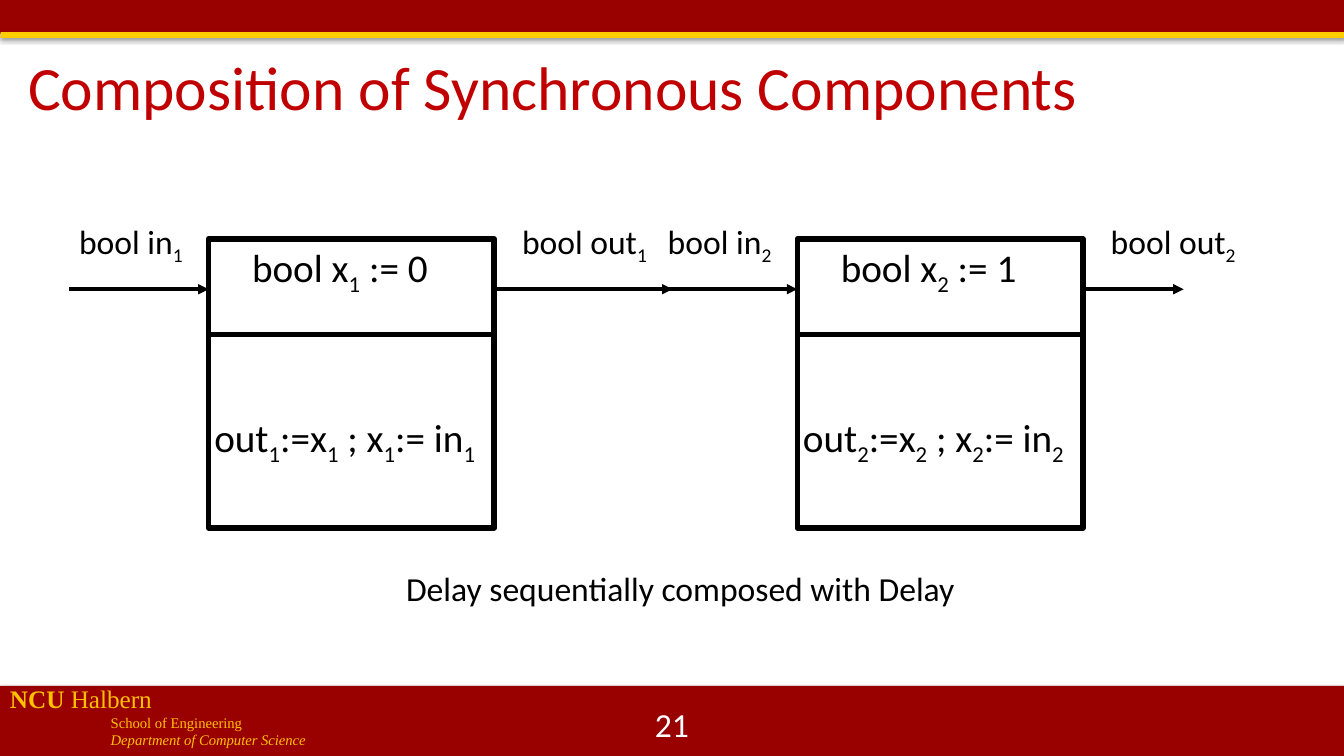
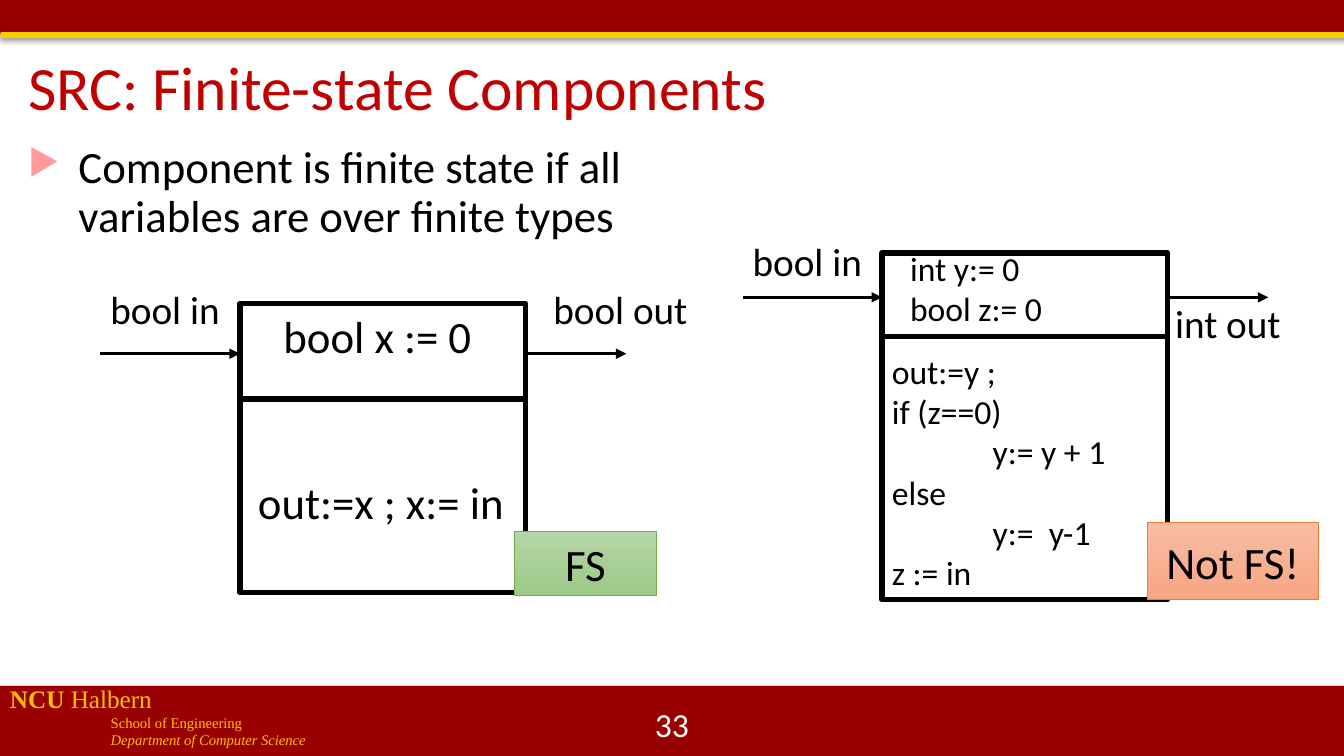
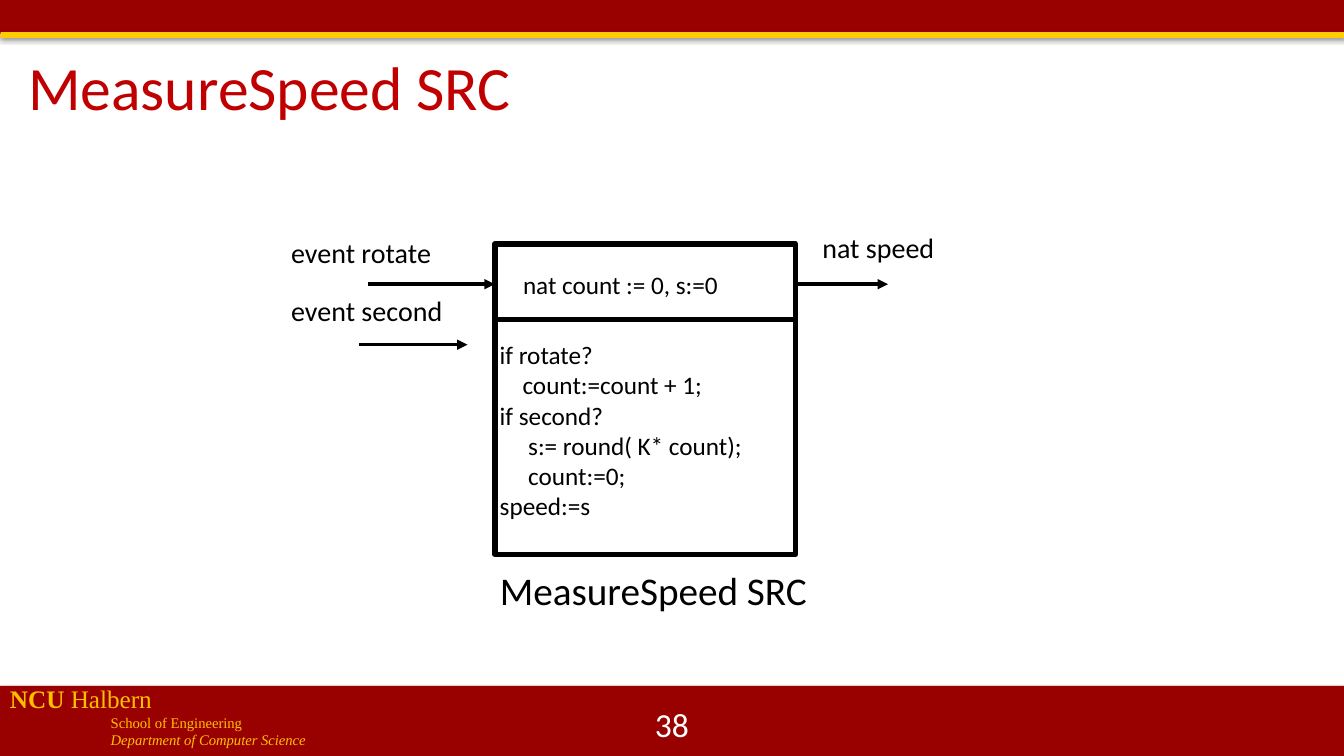
"""Build three slides on synchronous reactive components."""
from dataclasses import dataclass, field
from typing import NamedTuple

from lxml.etree import SubElement as Sub
from pptx import Presentation
from pptx.dml.color import RGBColor as Rgb
from pptx.enum.shapes import MSO_CONNECTOR as Conn, MSO_SHAPE as Kind
from pptx.enum.text import MSO_ANCHOR as Anchor, PP_ALIGN as Align
from pptx.oxml.ns import qn
from pptx.util import Pt

INK = {
    "band": "990000", "gold": "FFCC00", "logo": "FFC000", "title": "C00000",
    "text": "000000", "page": "FFFFFF", "mark": "FF9B9B",
}
WIDE, HIGH = 960, 540


class Bit(NamedTuple):
    text: str
    fmt: dict = {}
    drop: bool = False


class Row(NamedTuple):
    bits: list
    pad: float = 0


class Box(NamedTuple):
    x: float
    y: float
    w: float
    h: float


@dataclass
class Note:
    box: Box
    rows: list
    size: float
    ink: str = "text"
    font: str = "Calibri"
    anchor: Anchor = Anchor.TOP
    para: dict = field(default_factory=dict)


@dataclass
class Part:
    box: Box
    wire: float
    cut: float
    lead: float
    tail: float
    notes: list


@dataclass
class Tag:
    box: Box
    text: str
    top: str
    low: str
    edge: str


def row(text: str, pad: float = 0) -> Row:
    head, *rest = text.split("_")
    bits = [Bit(head)]
    for piece in rest:
        bits.append(Bit(piece[0], drop=True))
        if piece[1:]:
            bits.append(Bit(piece[1:]))
    return Row(bits, pad)


def apply(target, fmt: dict) -> None:
    for key, value in fmt.items():
        setattr(target, key, value)


def write(frame, note: Note) -> None:
    frame.word_wrap = True
    frame.vertical_anchor = note.anchor
    for i, line in enumerate(note.rows):
        para = frame.paragraphs[0] if i == 0 else frame.add_paragraph()
        apply(para, note.para)
        if line.pad:
            para._p.get_or_add_pPr().set("marL", str(Pt(line.pad)))
        for bit in line.bits:
            run = para.add_run()
            run.text = bit.text
            base = {"size": Pt(note.size), "name": note.font}
            apply(run.font, base | bit.fmt)
            run.font.color.rgb = Rgb.from_string(INK[note.ink])
            if bit.drop:
                run._r.get_or_add_rPr().set("baseline", "-25000")


def label(slide, note: Note, dx: float = 0, dy: float = 0):
    x, y, w, h = note.box
    shape = slide.shapes.add_textbox(Pt(x + dx), Pt(y + dy), Pt(w), Pt(h))
    write(shape.text_frame, note)
    return shape


def rect(slide, box: Box):
    shape = slide.shapes.add_shape(Kind.RECTANGLE, *map(Pt, box))
    shape.shadow.inherit = False
    return shape


def band(slide, box: Box, ink: str, alpha: int, dist: float) -> None:
    shape = rect(slide, box)
    shape.fill.solid()
    shape.fill.fore_color.rgb = Rgb.from_string(INK[ink])
    shape.line.fill.background()
    glow = Sub(shape._element.spPr.find(qn("a:effectLst")), qn("a:outerShdw"),
               blurRad=str(Pt(3.1)), dist=str(Pt(dist)), dir="5400000", rotWithShape="0")
    tone = Sub(glow, qn("a:srgbClr"), val=INK["text"])
    Sub(tone, qn("a:alpha"), val=str(alpha * 1000))


def rule(slide, x: float, y: float, end: float, width: float, arrow: bool = True) -> None:
    line = slide.shapes.add_connector(Conn.STRAIGHT, Pt(x), Pt(y), Pt(end), Pt(y))
    line.line.width = Pt(width)
    line.line.color.rgb = Rgb.from_string(INK["text"])
    if arrow:
        Sub(line.line._get_or_add_ln(), qn("a:tailEnd"), type="triangle")
    Sub(line._element.spPr, qn("a:effectLst"))


def draw(slide, part: Part) -> None:
    x, y, w, h = part.box
    frame = rect(slide, part.box)
    frame.fill.background()
    frame.line.width = Pt(4)
    frame.line.color.rgb = Rgb.from_string(INK["text"])
    rule(slide, x + w, y + part.wire, x + w + part.tail, 2.5)
    rule(slide, x - part.lead, y + part.wire, x, 2.5)
    rule(slide, x, y + part.cut, x + w, 4, False)
    for note in part.notes:
        label(slide, note, x, y)


def delay(x: float, y: float, tail: float, names: list, small: float, big: float,
          code: Box) -> Part:
    boxes = [Box(-99.6, -16.6, 94, 36), Box(216.8, -16.6, 112, 36), Box(24, 0, 150, 44), code]
    sizes = [small, small, big, big]
    notes = [Note(b, [row(t)], s) for b, t, s in zip(boxes, names, sizes)]
    return Part(Box(x, y, 204, 206.6), 36, 68.4, 99.6, tail, notes)


def badge(slide, tag: Tag) -> None:
    shape = rect(slide, tag.box)
    shape.fill.gradient()
    shape.fill.gradient_angle = 270
    for stop, tone in zip(shape.fill.gradient_stops, (tag.top, tag.low)):
        stop.color.rgb = Rgb.from_string(tone)
    shape.line.width = Pt(0.5)
    shape.line.color.rgb = Rgb.from_string(tag.edge)
    write(shape.text_frame, Note(tag.box, [row(tag.text)], 32, anchor=Anchor.MIDDLE,
                                 para={"alignment": Align.CENTER}))


def bullet(slide, note: Note) -> None:
    para = label(slide, note).text_frame.paragraphs[0]
    props = para._p.get_or_add_pPr()
    props.set("marL", str(Pt(36)))
    props.set("indent", str(Pt(-36)))
    Sub(Sub(props, qn("a:buClr")), qn("a:srgbClr"), val=INK["mark"])
    Sub(props, qn("a:buSzPct"), val="80000")
    Sub(props, qn("a:buChar"), char="▶")


def start(deck, title: str, page: int):
    slide = deck.slides.add_slide(deck.slide_layouts[6])
    band(slide, Box(0, 0, WIDE, 24), "band", 35, 1.8)
    band(slide, Box(0.5, 23, WIDE, 4.2), "gold", 38, 1.6)
    band(slide, Box(0, 490, WIDE, HIGH - 490), "band", 35, 1.8)
    small = {"size": Pt(10.5)}
    school = [
        Row([Bit("NCU ", {"bold": True}), Bit("Halbern")]),
        Row([Bit("School of Engineering", small)], 72),
        Row([Bit("Department of Computer Science", small | {"italic": True})], 72),
    ]
    label(slide, Note(Box(0, 484.6, 450, 55.4), school, 18, "logo", "Times New Roman"))
    label(slide, Note(Box(13, 33.8, 860, 61.2), [row(title)], 44, "title",
                      anchor=Anchor.MIDDLE, para={"line_spacing": 0.9}))
    label(slide, Note(Box(372, 502.6, 216, 28.8), [row(str(page))], 24, "page",
                      anchor=Anchor.MIDDLE, para={"alignment": Align.CENTER}))
    return slide


def compose(deck) -> None:
    slide = start(deck, "Composition of Synchronous Components", 21)
    for i, (x, tail) in enumerate([(149, 127.4), (569.5, 72)]):
        n = i + 1
        names = [f"bool in_{n}", f"bool out_{n}", f"bool x_{n} := {i}",
                 f"out_{n}:=x_{n} ; x_{n}:= in_{n}"]
        draw(slide, delay(x, 170.6, tail, names, 24, 28, Box(-3, 121, 208, 41)))
    label(slide, Note(Box(262.8, 401.8, 446.4, 36), [row("Delay sequentially composed with Delay")],
                      24, para={"alignment": Align.CENTER}))


def finite(deck) -> None:
    slide = start(deck, "SRC: Finite-state Components", 33)
    names = ["bool in", "bool out", "bool x := 0", "out:=x ; x:= in"]
    draw(slide, delay(171.4, 216.7, 72, names, 28, 32, Box(5.8, 118.8, 194, 46)))
    code = [row("out:=y ;"), row("if (z==0)"), row("y:= y + 1", 72), row("else"),
            row("y:=  y-1", 72), row("z := in")]
    draw(slide, Part(Box(630, 180.7, 204, 247.7), 31.7, 59.8, 99.4, 72, [
        Note(Box(-99.4, -15.1, 94, 37), [row("bool in")], 28),
        Note(Box(202.3, 29.5, 92, 37), [row("int out")], 28),
        Note(Box(13, -7.2, 169, 73), [row("int y:= 0"), row("bool z:= 0")], 24),
        Note(Box(0, 66.2, 168.5, 181), code, 24),
    ]))
    bullet(slide, Note(
        Box(13, 100, 460.8, 94.3),
        [row("Component is finite state if all variables are over finite types")], 32,
        para={"line_spacing": 0.9, "space_before": Pt(10)}))
    badge(slide, Tag(Box(367.2, 379.2, 101.8, 46.4), "FS", "B5D5A7", "9CC987", "70AD47"))
    badge(slide, Tag(Box(819.4, 373.4, 122.4, 55), "Not FS!", "F7BDA5", "F8A582", "ED7D31"))


def speed(deck) -> None:
    slide = start(deck, "MeasureSpeed SRC", 38)
    code = [row("if rotate?"), row("count:=count + 1;", 16.3), row("if second?"),
            row("s:= round( K* count);", 20.3), row("count:=0;", 20.3), row("speed:=s")]
    draw(slide, Part(Box(353.5, 174.2, 214.6, 221.8), 28.8, 54, 90.7, 66.2, [
        Note(Box(-152.6, -9.4, 140.4, 32), [row("event rotate")], 20),
        Note(Box(226.8, -13, 112.3, 32), [row("nat speed")], 20),
        Note(Box(13, 14.4, 183.6, 29), [row("nat count := 0, s:=0")], 18),
        Note(Box(-3.6, 64.8, 224, 138), code, 18),
    ]))
    label(slide, Note(Box(350, 401, 238, 41), [row("MeasureSpeed SRC")], 28))
    rule(slide, 256.3, 246.2, 334, 2.5)
    label(slide, Note(Box(200.9, 206, 126, 32), [row("event second")], 20))


def main() -> None:
    deck = Presentation()
    deck.slide_width, deck.slide_height = Pt(WIDE), Pt(HIGH)
    for make in (compose, finite, speed):
        make(deck)
    deck.save("out.pptx")


if __name__ == "__main__":
    main()
